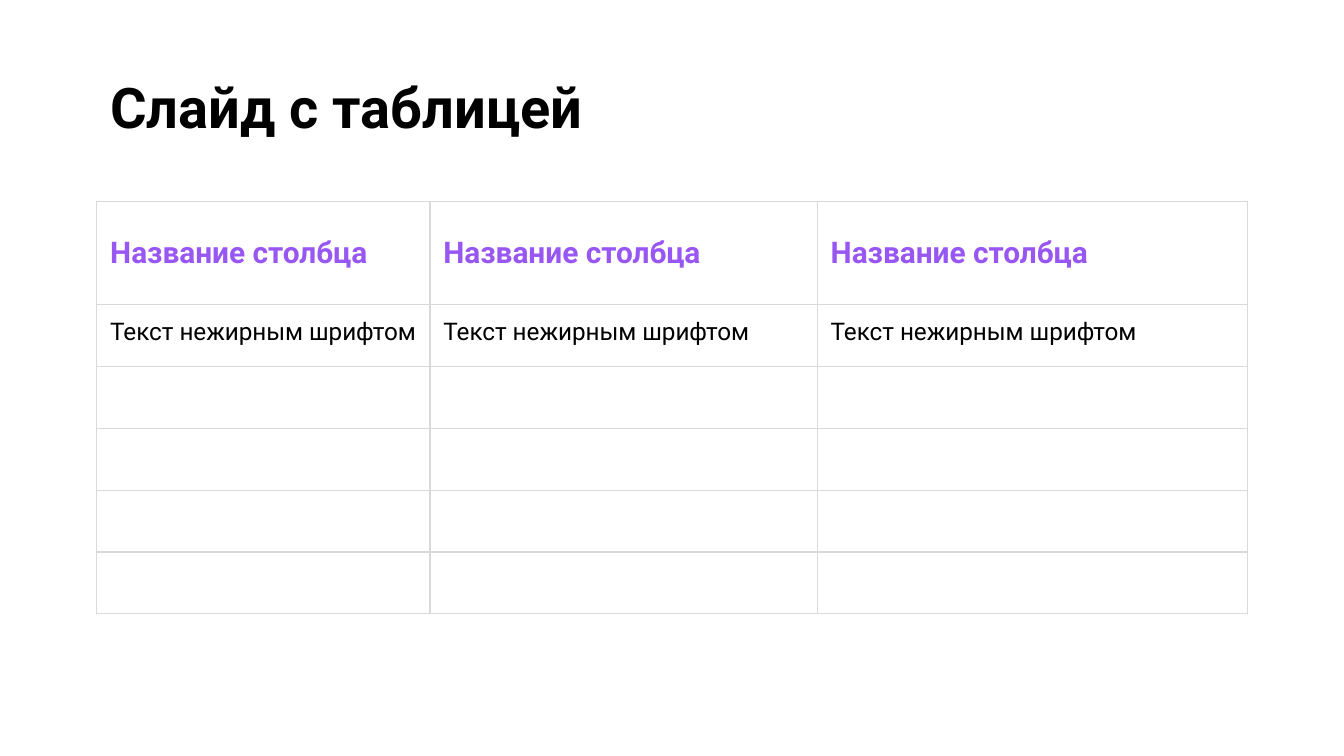
from dataclasses import dataclass

import pptx
import pptx.dml.color
import pptx.enum.text
import pptx.oxml
import pptx.oxml.ns
import pptx.util

Pt = pptx.util.Pt
Anchor = pptx.enum.text.MSO_ANCHOR
COLORS = {"ink": "000000", "accent": "9857F3", "grid": "D9D9D9", "paper": "FFFFFF"}
FONT = "Roboto"
INSET = 7.2
LEFT = 51.84
WIDTHS = (178.5, 207.5, 230.5)
HEAD, BODY, ROWS = 55.4, 33.15, 6


@dataclass(frozen=True)
class Style:
    size: float
    color: str
    bold: bool
    anchor: Anchor = Anchor.TOP


TITLE = Style(30, "ink", True)
HEADER = Style(16, "accent", True, Anchor.MIDDLE)
PLAIN = Style(13, "ink", False)


def tint(name: str) -> pptx.dml.color.RGBColor:
    return pptx.dml.color.RGBColor.from_string(COLORS[name])


def write(frame, text: str, style: Style) -> None:
    frame.text = text
    for run in frame.paragraphs[0].runs:
        run.font.name = FONT
        run.font.size = Pt(style.size)
        run.font.bold = style.bold
        run.font.color.rgb = tint(style.color)


def pad(box) -> None:
    box.margin_left = box.margin_right = Pt(INSET)
    box.margin_top = box.margin_bottom = Pt(INSET)


def border(cell) -> None:
    props = cell._tc.get_or_add_tcPr()
    space = pptx.oxml.ns.nsdecls("a")
    for side in ("lnL", "lnR", "lnT", "lnB"):
        props.append(pptx.oxml.parse_xml(
            f'<a:{side} {space} w="{Pt(0.75)}"><a:solidFill>'
            f'<a:srgbClr val="{COLORS["grid"]}"/></a:solidFill></a:{side}>'
        ))


def add_title(slide, text: str) -> None:
    box = slide.shapes.add_textbox(Pt(LEFT), Pt(31.7), Pt(671), Pt(86.4))
    frame = box.text_frame
    frame.word_wrap = True
    frame.vertical_anchor = TITLE.anchor
    pad(frame)
    write(frame, text, TITLE)


def add_grid(slide, lines: list[tuple[str, Style]]) -> None:
    high = HEAD + BODY * (ROWS - 1)
    table = slide.shapes.add_table(
        ROWS, len(WIDTHS), Pt(LEFT), Pt(107.8), Pt(sum(WIDTHS)), Pt(high)
    ).table
    table.first_row = table.horz_banding = False
    for col, width in zip(table.columns, WIDTHS):
        col.width = Pt(width)
    for i, row in enumerate(table.rows):
        row.height = Pt(BODY if i else HEAD)
        for cell in row.cells:
            border(cell)
            cell.fill.solid()
            cell.fill.fore_color.rgb = tint("paper")
            if i < len(lines):
                text, style = lines[i]
                pad(cell)
                cell.vertical_anchor = style.anchor
                write(cell.text_frame, text, style)


def main() -> None:
    deck = pptx.Presentation()
    deck.slide_width, deck.slide_height = Pt(720), Pt(405)
    slide = deck.slides.add_slide(deck.slide_layouts[6])
    add_title(slide, "Слайд с таблицей")
    add_grid(slide, [("Название столбца", HEADER), ("Текст нежирным шрифтом", PLAIN)])
    deck.save("out.pptx")


if __name__ == "__main__":
    main()
